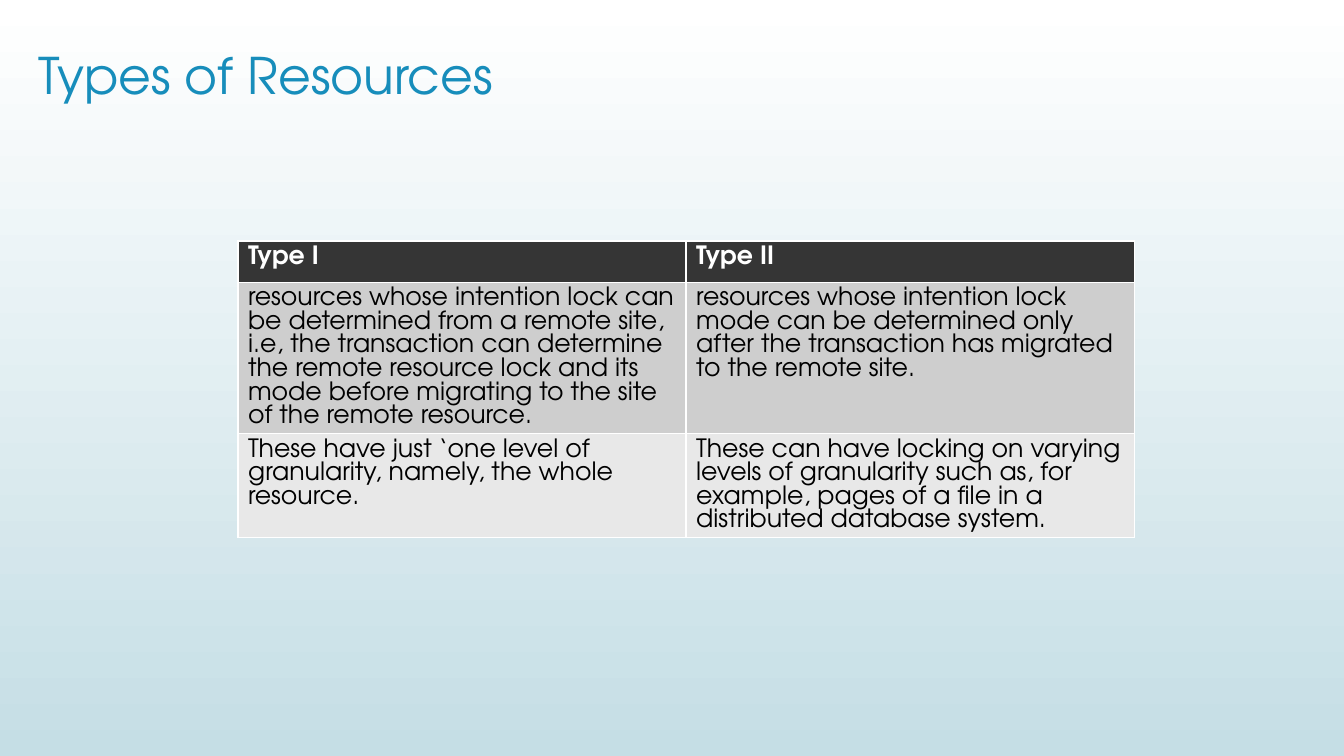
from dataclasses import dataclass

from pptx import Presentation
from pptx.dml.color import RGBColor
from pptx.enum.text import MSO_ANCHOR, PP_ALIGN
from pptx.util import Inches, Pt

TOP = MSO_ANCHOR.TOP
LEFT = PP_ALIGN.LEFT


@dataclass(frozen=True)
class Theme:
    font: str = "TeX Gyre Adventor"
    title: str = "178DBB"
    text: str = "000000"
    light: str = "FFFFFF"
    header: str = "353535"
    bands: tuple = ("CECECE", "E8E8E8")
    background: tuple = ("FFFFFF", "C5DEE5")
    title_size: int = 36
    table_size: int = 18


THEME = Theme()

RESOURCES = [
    ("Type I", "Type II"),
    (
        "resources whose intention lock can be determined from a remote site, "
        "i.e, the transaction can determine the remote resource lock and its "
        "mode before migrating to the site of the remote resource.",
        "resources whose intention lock mode can be determined only after the "
        "transaction has migrated to the remote site.",
    ),
    (
        "These have just ‘one level of granularity, namely, the whole resource.",
        "These can have locking on varying levels of granularity such as, for "
        "example, pages of a file in a distributed database system.",
    ),
]
ROW_HEIGHTS = (0.41, 1.5, 1.03)


def add_run(p, text, size, color, bold=False):
    p.alignment = LEFT
    r = p.add_run()
    r.text = text
    r.font.name = THEME.font
    r.font.size = Pt(size)
    r.font.bold = bold
    r.font.color.rgb = RGBColor.from_string(color)


def add_background(s):
    fill = s.background.fill
    fill.gradient()
    fill.gradient_angle = 270
    for stop, color in zip(fill.gradient_stops, THEME.background):
        stop.color.rgb = RGBColor.from_string(color)


def add_title(s, text, x, y, w, h):
    sp = s.shapes.title
    sp.left, sp.top, sp.width, sp.height = map(Inches, (x, y, w, h))
    tf = sp.text_frame
    tf.word_wrap = True
    tf.vertical_anchor = TOP
    add_run(tf.paragraphs[0], text, THEME.title_size, THEME.title)


def add_resource_table(s, rows, x, y, w):
    cols = len(rows[0])
    frame = s.shapes.add_table(
        len(rows), cols, Inches(x), Inches(y), Inches(w), Inches(sum(ROW_HEIGHTS))
    )
    table = frame.table
    for col in table.columns:
        col.width = Inches(w / cols)
    for i, (row, height) in enumerate(zip(rows, ROW_HEIGHTS)):
        table.rows[i].height = Inches(height)
        is_header = i == 0
        fill = THEME.header if is_header else THEME.bands[(i - 1) % 2]
        color = THEME.light if is_header else THEME.text
        for j, text in enumerate(row):
            cell = table.cell(i, j)
            cell.fill.solid()
            cell.fill.fore_color.rgb = RGBColor.from_string(fill)
            p = cell.text_frame.paragraphs[0]
            add_run(p, text, THEME.table_size, color, is_header)


def main():
    prs = Presentation()
    prs.slide_width, prs.slide_height = Inches(13.33), Inches(7.5)
    s = prs.slides.add_slide(prs.slide_layouts[5])
    add_background(s)
    add_title(s, "Types of Resources", 0.28, 0.39, 9.75, 1.4)
    add_resource_table(s, RESOURCES, 2.36, 2.39, 8.89)
    prs.save("out.pptx")


if __name__ == "__main__":
    main()
